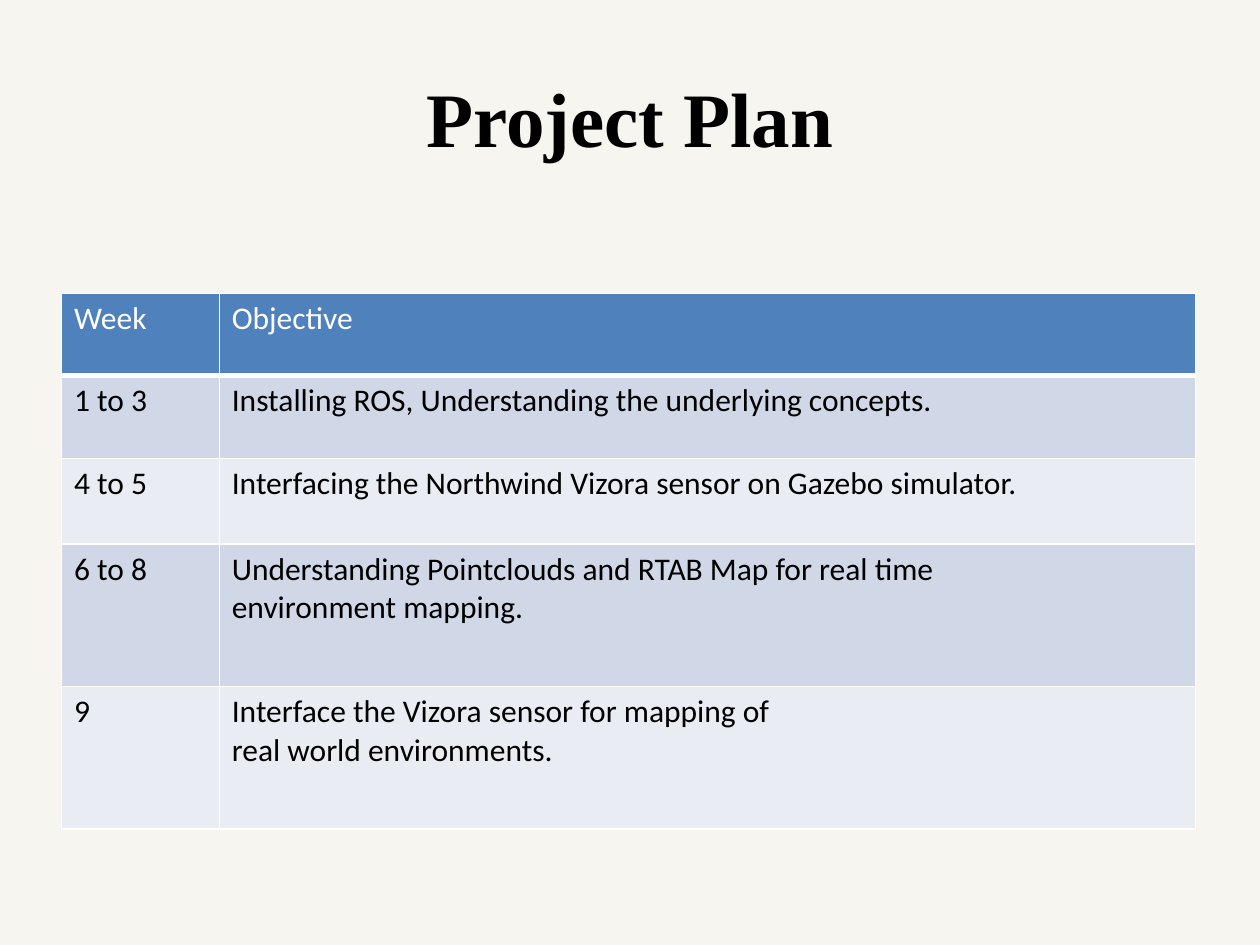
import lxml.etree
import pptx
import pptx.dml.color
import pptx.enum.text
import pptx.oxml.ns
import pptx.util

Cm, Pt = pptx.util.Cm, pptx.util.Pt
RGB = pptx.dml.color.RGBColor.from_string
qn = pptx.oxml.ns.qn

# Colours, fonts and line widths
THEME = {
    "page": "F6F5F0",
    "head": "4F81BD",
    "bands": ("D0D8E7", "E9ECF3"),
    "line": "FFFFFF",
    "thin": 0.96,
    "thick": 3,
    "title": {"name": "Times New Roman", "size": Pt(44), "bold": True, "color": "000000"},
    "label": {"name": "Calibri", "size": Pt(18), "bold": False, "color": "FFFFFF"},
    "body": {"name": "Calibri", "size": Pt(18), "bold": False, "color": "000000"},
}

PLAN = [
    ("Week", "Objective"),
    ("1 to 3", "Installing ROS, Understanding the underlying concepts."),
    ("4 to 5", "Interfacing the Northwind Vizora sensor on Gazebo simulator."),
    ("6 to 8", "Understanding Pointclouds and RTAB Map for real time\nenvironment mapping."),
    ("9", "Interface the Vizora sensor for mapping of\nreal world environments."),
]
COLS = (3.18, 19.68)
ROWS = (1.65, 1.67, 1.73, 2.87, 2.87)


def write(frame, text, style, align=None):
    """Fill a text frame, one paragraph for each line."""
    frame.text = text
    for para in frame.paragraphs:
        para.alignment = align
        for key, value in style.items():
            if key == "color":
                para.runs[0].font.color.rgb = RGB(value)
            else:
                setattr(para.runs[0].font, key, value)


def rule(cell, top, base):
    """Draw the four borders of a cell; they come before its fill."""
    props = cell._tc.get_or_add_tcPr()
    thin = THEME["thin"]
    sides = {"lnL": thin, "lnR": thin, "lnT": top, "lnB": base}
    for spot, (tag, width) in enumerate(sides.items()):
        line = lxml.etree.Element(qn("a:" + tag), w=str(int(Pt(width))))
        fill = lxml.etree.SubElement(line, qn("a:solidFill"))
        lxml.etree.SubElement(fill, qn("a:srgbClr"), val=THEME["line"])
        props.insert(spot, line)


def add_title(slide, box, text):
    frame = slide.shapes.add_textbox(*map(Cm, box)).text_frame
    frame.word_wrap = True
    frame.vertical_anchor = pptx.enum.text.MSO_ANCHOR.MIDDLE
    write(frame, text, THEME["title"], pptx.enum.text.PP_ALIGN.CENTER)


def add_plan(slide, left, top):
    box = (left, top, sum(COLS), sum(ROWS))
    table = slide.shapes.add_table(len(ROWS), len(COLS), *map(Cm, box)).table
    table.first_row = table.horz_banding = False
    for col, width in zip(table.columns, COLS):
        col.width = Cm(width)
    for i, (row, height) in enumerate(zip(table.rows, ROWS)):
        row.height = Cm(height)
        head = i == 0
        fill = THEME["head"] if head else THEME["bands"][(i - 1) % 2]
        style = THEME["label" if head else "body"]
        upper = THEME["thick" if i == 1 else "thin"]
        lower = THEME["thick" if head else "thin"]
        for cell, text in zip(row.cells, PLAN[i]):
            cell.fill.solid()
            cell.fill.fore_color.rgb = RGB(fill)
            rule(cell, upper, lower)
            write(cell.text_frame, text, style)


def main():
    deck = pptx.Presentation()
    deck.slide_width, deck.slide_height = Cm(25.4), Cm(19.05)
    slide = deck.slides.add_slide(deck.slide_layouts[6])
    back = slide.background.fill
    back.solid()
    back.fore_color.rgb = RGB(THEME["page"])

    add_title(slide, (1.27, 0.76, 22.86, 3.18), "Project Plan")
    add_plan(slide, 1.24, 5.92)
    deck.save("out.pptx")


if __name__ == "__main__":
    main()
